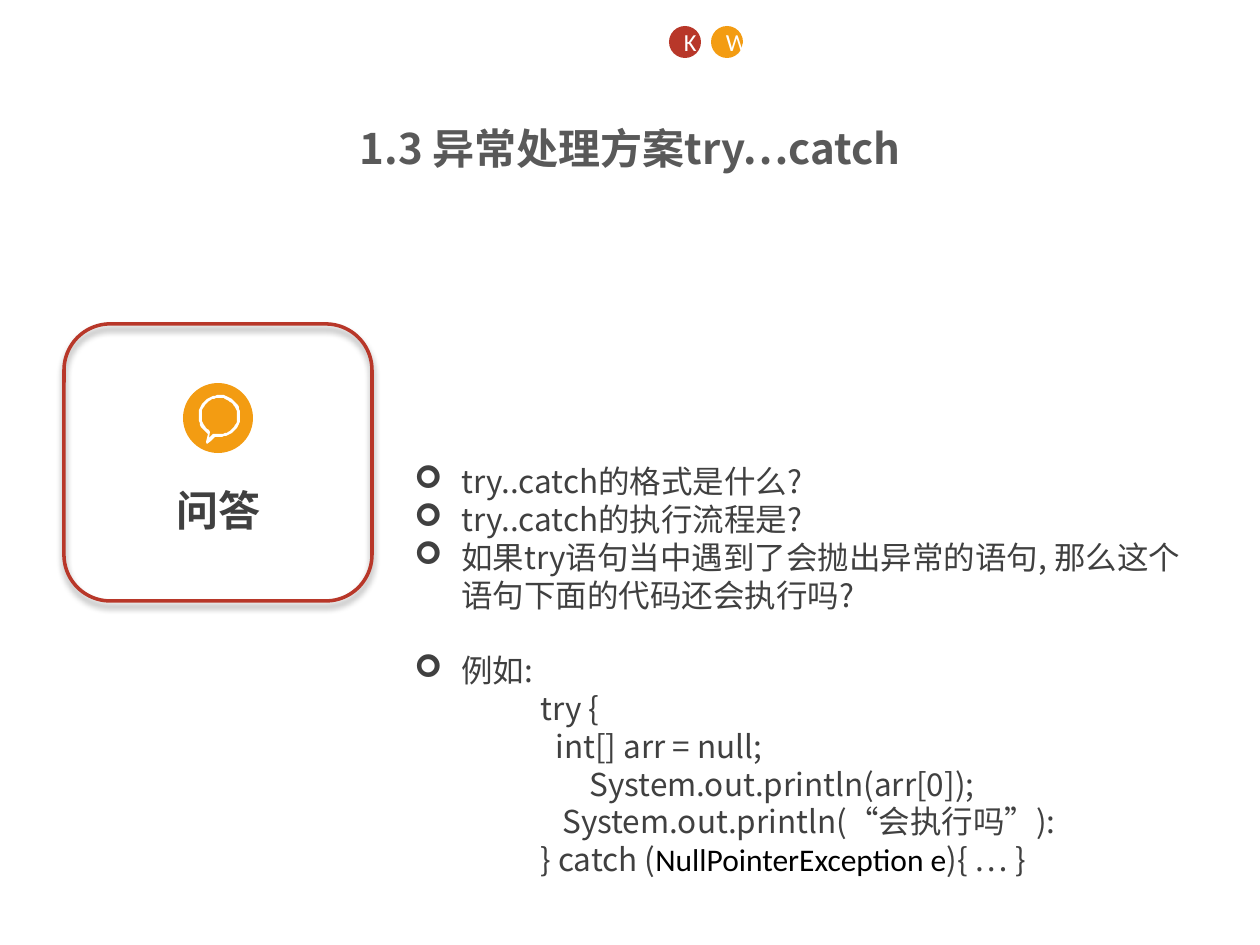
from math import cos, radians, sin

from lxml.etree import SubElement
from pptx import Presentation
from pptx.dml.color import RGBColor
from pptx.enum.shapes import MSO_SHAPE as Shape
from pptx.enum.text import MSO_ANCHOR as Anchor, PP_ALIGN as Align
from pptx.oxml.ns import qn
from pptx.util import Emu, Pt

SCALE = 914400 // 126
RED, ORANGE, WHITE, BLACK = "B83729", "F39C12", "FFFFFF", "000000"
DARK, GREY = "404040", "595959"
CJK, LATIN = "Noto Sans CJK SC", "Calibri"


def px(value):
    return Emu(round(value * SCALE))


def color(value):
    return RGBColor.from_string(value)


def arc(center, radius, start, end, step=6):
    """Points of a circular arc, clockwise, angles in degrees."""
    return [(center[0] + radius * cos(radians(angle)),
             center[1] + radius * sin(radians(angle)))
            for angle in range(start, end + 1, step)]


class SlideMaker:
    def __init__(self, slide):
        self.slide = slide

    def paint(self, shape, fill=None, line=None, width=2):
        shape.shadow.inherit = False
        if fill:
            shape.fill.solid()
            shape.fill.fore_color.rgb = color(fill)
        else:
            shape.fill.background()
        if line:
            shape.line.color.rgb = color(line)
            shape.line.width = Pt(width)
        else:
            shape.line.fill.background()
        return shape

    def shape(self, kind, box, **style):
        shape = self.slide.shapes.add_shape(kind, *map(px, box))
        return self.paint(shape, **style)

    def shadow(self, shape, blur, distance, angle, opacity):
        effects = shape._element.spPr.find(qn("a:effectLst"))
        outer = SubElement(effects, qn("a:outerShdw"), blurRad=str(Pt(blur)),
                           dist=str(Pt(distance)), dir=str(angle * 60000),
                           algn="t", rotWithShape="0")
        tint = SubElement(outer, qn("a:srgbClr"), val=BLACK)
        SubElement(tint, qn("a:alpha"), val=str(opacity * 1000))

    def outline(self, contours, fill):
        first, *others = contours
        builder = self.slide.shapes.build_freeform(*first[0], scale=SCALE)
        builder.add_line_segments(first[1:])
        for contour in others:
            builder.move_to(*contour[0])
            builder.add_line_segments(contour[1:])
        return self.paint(builder.convert_to_shape(), fill=fill)

    def text_box(self, box, wrap=True):
        frame = self.slide.shapes.add_textbox(*map(px, box)).text_frame
        frame.word_wrap = wrap
        return frame

    def run(self, paragraph, text, size, ink, font=CJK, bold=False):
        run = paragraph.add_run()
        run.text = text
        run.font.size = Pt(size)
        run.font.bold = bold
        run.font.name = font
        run.font.color.rgb = color(ink)
        SubElement(run._r.get_or_add_rPr(), qn("a:ea"), typeface=CJK)

    def indent(self, paragraph, left, bullet=None, hanging=0):
        properties = paragraph._p.get_or_add_pPr()
        properties.set("marL", str(px(left)))
        properties.set("indent", str(-px(hanging)))
        if bullet:
            SubElement(properties, qn("a:buFont"), typeface="Wingdings")
            SubElement(properties, qn("a:buChar"), char=bullet)

    def badge(self, left, letter, fill):
        frame = self.shape(Shape.OVAL, (left, 26, 32, 32), fill=fill).text_frame
        frame.vertical_anchor = Anchor.MIDDLE
        paragraph = frame.paragraphs[0]
        paragraph.alignment = Align.CENTER
        self.run(paragraph, letter, 14, WHITE, LATIN)


presentation = Presentation()
presentation.slide_width, presentation.slide_height = px(1260), px(945)
maker = SlideMaker(presentation.slides.add_slide(presentation.slide_layouts[6]))

# Questions and code example
LINE = 21.6
questions = ["try..catch的格式是什么?",
             "try..catch的执行流程是?",
             "如果try语句当中遇到了会抛出异常的语句, 那么这个语句下面的代码还会执行吗?",
             "例如:"]
code = [(126, [("try {", DARK, CJK)]),
        (141, [("int[] arr = null;", DARK, CJK)]),
        (175, [("System.out.println(arr[0]);", DARK, CJK)]),
        (148, [("System.out.println(“会执行吗”):", DARK, CJK)]),
        (126, [("} catch (", DARK, CJK),
               ("NullPointerException e", BLACK, LATIN),
               ("){ … }", DARK, CJK)])]
body = maker.text_box((402, 456, 800, 432))
paragraph = body.paragraphs[0]
for index, question in enumerate(questions):
    if index:
        paragraph = body.add_paragraph()
    paragraph.line_spacing = Pt(LINE)
    maker.indent(paragraph, 47, "➢", 47)
    maker.run(paragraph, question, 18, DARK)
paragraph.space_before = Pt(LINE)
for left, runs in code:
    paragraph = body.add_paragraph()
    paragraph.line_spacing = Pt(LINE)
    maker.indent(paragraph, left)
    for text, ink, font in runs:
        maker.run(paragraph, text, 18, ink, font)

# Title
title = maker.text_box((0, 116, 1260, 59)).paragraphs[0]
title.alignment = Align.CENTER
title.line_spacing = Pt(28.8)
maker.run(title, "1.3 异常处理方案try…catch", 24, GREY, bold=True)

# Letter badges
maker.badge(669, "K", RED)
maker.badge(711, "W", ORANGE)

# Question card
card = maker.shape(Shape.ROUNDED_RECTANGLE, (64, 324, 308, 277), line=RED)
maker.shadow(card, blur=4, distance=3, angle=90, opacity=40)
label = maker.text_box((164, 483, 110, 57), wrap=False).paragraphs[0]
label.line_spacing = Pt(25.9)
maker.run(label, "问答", 24, DARK, bold=True)

# Speech bubble icon
maker.shape(Shape.OVAL, (183, 383, 70, 70), fill=ORANGE)
center = (219.5, 416)
bubble = arc(center, 21, 125, 461) + [(211, 441), (207, 443.5), (205.5, 442), (208, 434)]
hole = arc(center, 18, 127, 463) + [(213, 434), (209, 438.5), (210.5, 432)]
maker.outline([bubble, hole[::-1]], WHITE)

presentation.save("out.pptx")
